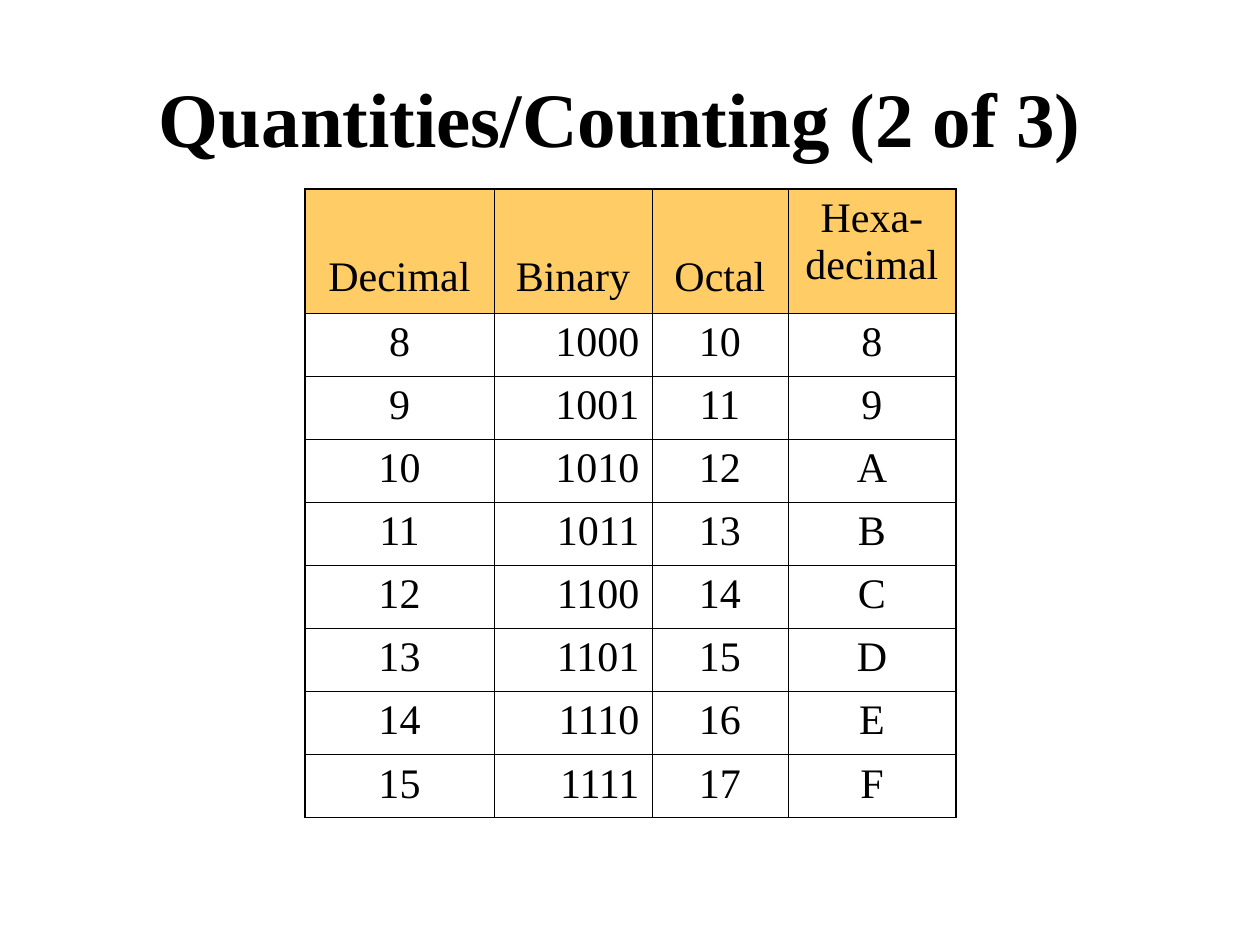
from pptx import Presentation
from pptx.dml.color import RGBColor
from pptx.enum.text import MSO_ANCHOR as ANCHOR, PP_ALIGN as ALIGN
from pptx.oxml.ns import qn
from pptx.util import Emu, Pt
from lxml.etree import SubElement

EMU_PER_PX = 914400 / 126
FONT = "Times New Roman"
BLACK = "000000"
GOLD = "FFCC66"
THIN, THICK = 0.45, 1.08
HEADERS = ["Decimal", "Binary", "Octal", "Hexa-\vdecimal"]
COL_WIDTHS = [189, 158, 136, 168]
HEADER_H, ROW_H = 124, 63


def px(n):
    return Emu(round(n * EMU_PER_PX))


def color(hex_str):
    return RGBColor.from_string(hex_str)


def style_text(tf, size, align, bold=False):
    for p in tf.paragraphs:
        p.alignment = align
        for r in p.runs:
            r.font.name = FONT
            r.font.size = Pt(size)
            r.font.bold = bold
            r.font.color.rgb = color(BLACK)


def set_borders(cell, widths):
    tc_pr = cell._tc.get_or_add_tcPr()
    for side, width in widths.items():
        ln = SubElement(tc_pr, qn(f"a:ln{side}"), w=str(Pt(width)))
        fill = SubElement(ln, qn("a:solidFill"))
        SubElement(fill, qn("a:srgbClr"), val=BLACK)


def add_title(s, x, y, w, h, text):
    sp = s.shapes.add_textbox(px(x), px(y), px(w), px(h))
    tf = sp.text_frame
    tf.word_wrap = True
    tf.vertical_anchor = ANCHOR.MIDDLE
    tf.text = text
    style_text(tf, 44, ALIGN.CENTER, bold=True)


def add_number_table(s, x, y, numbers):
    rows = [HEADERS] + [[str(n), f"{n:b}", f"{n:o}", f"{n:X}"] for n in numbers]
    heights = [HEADER_H] + [ROW_H] * len(numbers)
    last_row, last_col = len(rows) - 1, len(HEADERS) - 1
    table = s.shapes.add_table(len(rows), len(HEADERS), px(x), px(y),
                               px(sum(COL_WIDTHS)), px(sum(heights))).table
    table.first_row = table.horz_banding = False
    for col, width in zip(table.columns, COL_WIDTHS):
        col.width = px(width)
    for row, height in zip(table.rows, heights):
        row.height = px(height)

    for i, values in enumerate(rows):
        for j, value in enumerate(values):
            cell = table.cell(i, j)
            cell.text = value
            is_header = i == 0
            is_binary = j == 1 and not is_header
            style_text(cell.text_frame, 24, ALIGN.RIGHT if is_binary else ALIGN.CENTER)
            set_borders(cell, {
                "L": THICK if j == 0 else THIN,
                "R": THICK if j == last_col else THIN,
                "T": THICK if i == 0 else THIN,
                "B": THICK if i == last_row else THIN,
            })
            if is_header:
                cell.fill.solid()
                cell.fill.fore_color.rgb = color(GOLD)
                if j < last_col:
                    cell.vertical_anchor = ANCHOR.BOTTOM
                    cell.margin_bottom = px(12)
            else:
                cell.fill.background()


def main():
    prs = Presentation()
    prs.slide_width, prs.slide_height = px(1260), px(945)
    s = prs.slides.add_slide(prs.slide_layouts[6])
    add_title(s, 63, 38, 1134, 158, "Quantities/Counting (2 of 3) ")
    add_number_table(s, 305, 189, range(8, 16))
    prs.save("out.pptx")


if __name__ == "__main__":
    main()
